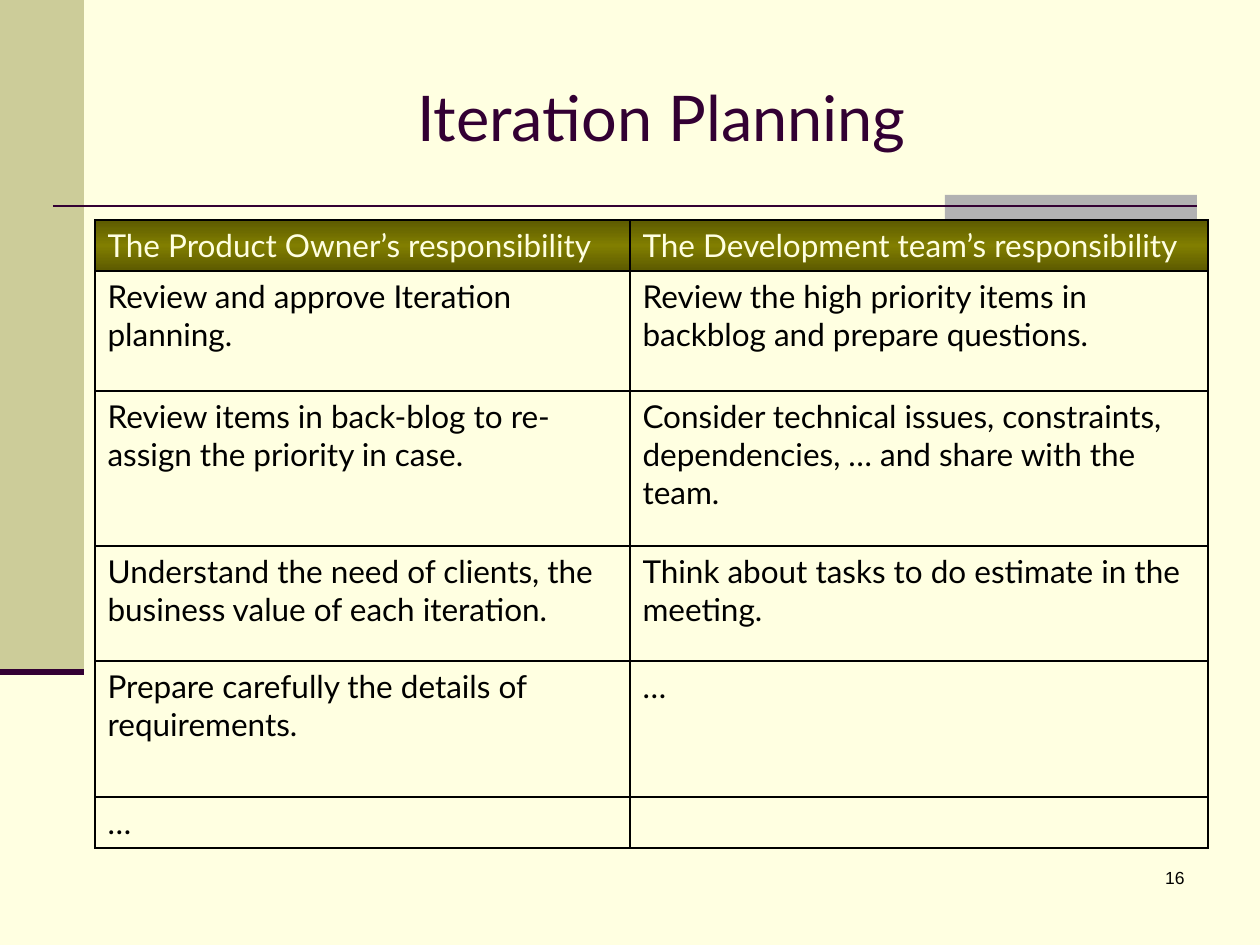
from dataclasses import dataclass
from itertools import product

from lxml.etree import SubElement
from copy import deepcopy
from pptx import Presentation
from pptx.dml.color import RGBColor
from pptx.enum.shapes import MSO_CONNECTOR, MSO_SHAPE
from pptx.enum.text import MSO_ANCHOR, PP_ALIGN
from pptx.oxml.ns import qn
from pptx.util import Emu, Pt

PX_PER_INCH = 126
CREAM, PLUM, BLACK = "FFFFE1", "330033", "000000"
HEADER_GRADIENT = ["5C5A00", "817E00", "5C5A00"]
BORDER_TAGS = ["a:lnL", "a:lnR", "a:lnT", "a:lnB"]


@dataclass
class Band:
    left: int
    top: int
    width: int
    height: int
    color: str


@dataclass
class Rule:
    left: int
    right: int
    y: int
    weight: float


@dataclass
class Label:
    text: str
    left: int
    top: int
    width: int
    height: int
    size: int
    font: str
    color: str
    align: PP_ALIGN
    anchor: MSO_ANCHOR


@dataclass
class Duty:
    owner: str
    team: str
    height: int


BANDS = [
    Band(0, 0, 84, 672, "CCCC99"),
    Band(945, 195, 252, 25, "B2B2B2"),
]
RULES = [Rule(53, 1197, 206, 1.5), Rule(0, 84, 672, 3.5)]
LABELS = [
    Label("16", 935, 861, 262, 63, 10, "Arial", BLACK,
          PP_ALIGN.RIGHT, MSO_ANCHOR.TOP),
    Label("Iteration Planning", 126, 38, 1071, 157, 36, "Lato", PLUM,
          PP_ALIGN.CENTER, MSO_ANCHOR.MIDDLE),
]
COLUMN_WIDTHS = [535, 578]
DUTIES = [
    Duty("The Product Owner’s responsibility",
         "The Development team’s responsibility", 51),
    Duty("Review and approve Iteration planning.",
         "Review the high priority items in backblog and prepare questions.", 120),
    Duty("Review items in back-blog to re-assign the priority in case.",
         "Consider technical issues, constraints, dependencies, … and share with the team.",
         155),
    Duty("Understand the need of clients, the business value of each iteration.",
         "Think about tasks to do estimate in the meeting.", 115),
    Duty("Prepare carefully the details of requirements.", "…", 136),
    Duty("…", "", 51),
]


def px(length: int) -> Emu:
    return Emu(round(length * 914400 / PX_PER_INCH))


def rgb(color: str) -> RGBColor:
    return RGBColor.from_string(color)


def style_text(paragraph, size: int, font: str, color: str) -> None:
    paragraph.font.size = Pt(size)
    paragraph.font.name = font
    paragraph.font.color.rgb = rgb(color)


def draw_band(slide, band: Band) -> None:
    block = slide.shapes.add_shape(MSO_SHAPE.RECTANGLE, px(band.left), px(band.top),
                                   px(band.width), px(band.height))
    block.shadow.inherit = False
    block.fill.solid()
    block.fill.fore_color.rgb = rgb(band.color)
    block.line.fill.background()


def draw_rule(slide, rule: Rule) -> None:
    stroke = slide.shapes.add_connector(MSO_CONNECTOR.STRAIGHT, px(rule.left), px(rule.y),
                                        px(rule.right), px(rule.y))
    stroke.line.color.rgb = rgb(PLUM)
    stroke.line.width = Pt(rule.weight)
    SubElement(stroke._element.spPr, qn("a:effectLst"))


def draw_label(slide, label: Label) -> None:
    frame = slide.shapes.add_textbox(px(label.left), px(label.top),
                                     px(label.width), px(label.height)).text_frame
    frame.word_wrap = True
    frame.vertical_anchor = label.anchor
    paragraph = frame.paragraphs[0]
    paragraph.text = label.text
    paragraph.alignment = label.align
    style_text(paragraph, label.size, label.font, label.color)


def draw_borders(cell) -> None:
    properties = cell._tc.get_or_add_tcPr()
    for tag in BORDER_TAGS:
        border = SubElement(properties, qn(tag), w=str(Pt(1)))
        fill = SubElement(border, qn("a:solidFill"))
        SubElement(fill, qn("a:srgbClr"), val=BLACK)


def fill_header(cell) -> None:
    cell.fill.gradient()
    cell.fill.gradient_angle = 90
    stop_list = cell._tc.tcPr.find(qn("a:gradFill")).find(qn("a:gsLst"))
    stop_list.append(deepcopy(stop_list[0]))
    for index, (stop, color) in enumerate(zip(cell.fill.gradient_stops, HEADER_GRADIENT)):
        stop.position = index / 2
        stop.color.rgb = rgb(color)


def draw_duties(slide, duties: list[Duty], left: int, top: int) -> None:
    table = slide.shapes.add_table(
        len(duties), len(COLUMN_WIDTHS), px(left), px(top),
        px(sum(COLUMN_WIDTHS)), px(sum(duty.height for duty in duties))).table
    for column, width in zip(table.columns, COLUMN_WIDTHS):
        column.width = px(width)
    for row, duty in zip(table.rows, duties):
        row.height = px(duty.height)
    for row, column in product(range(len(duties)), range(len(COLUMN_WIDTHS))):
        cell = table.cell(row, column)
        duty = duties[row]
        cell.text = (duty.owner, duty.team)[column]
        style_text(cell.text_frame.paragraphs[0], 18, "Lato", BLACK if row else CREAM)
        draw_borders(cell)
        if row:
            cell.fill.background()
        else:
            fill_header(cell)


def main() -> None:
    deck = Presentation()
    deck.slide_width, deck.slide_height = px(1260), px(945)
    slide = deck.slides.add_slide(deck.slide_layouts[6])
    slide.background.fill.solid()
    slide.background.fill.fore_color.rgb = rgb(CREAM)
    for band in BANDS:
        draw_band(slide, band)
    for rule in RULES:
        draw_rule(slide, rule)
    for label in LABELS:
        draw_label(slide, label)
    draw_duties(slide, DUTIES, 95, 220)
    deck.save("out.pptx")


if __name__ == "__main__":
    main()
